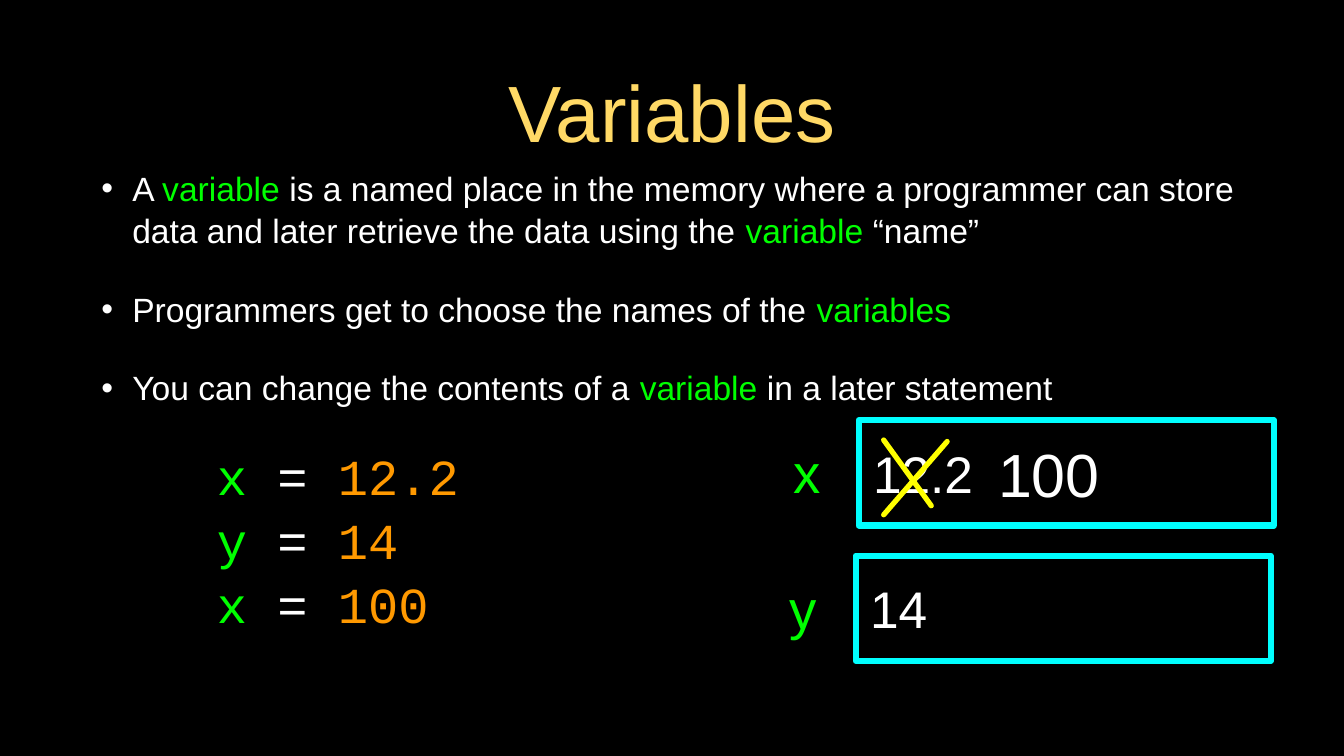
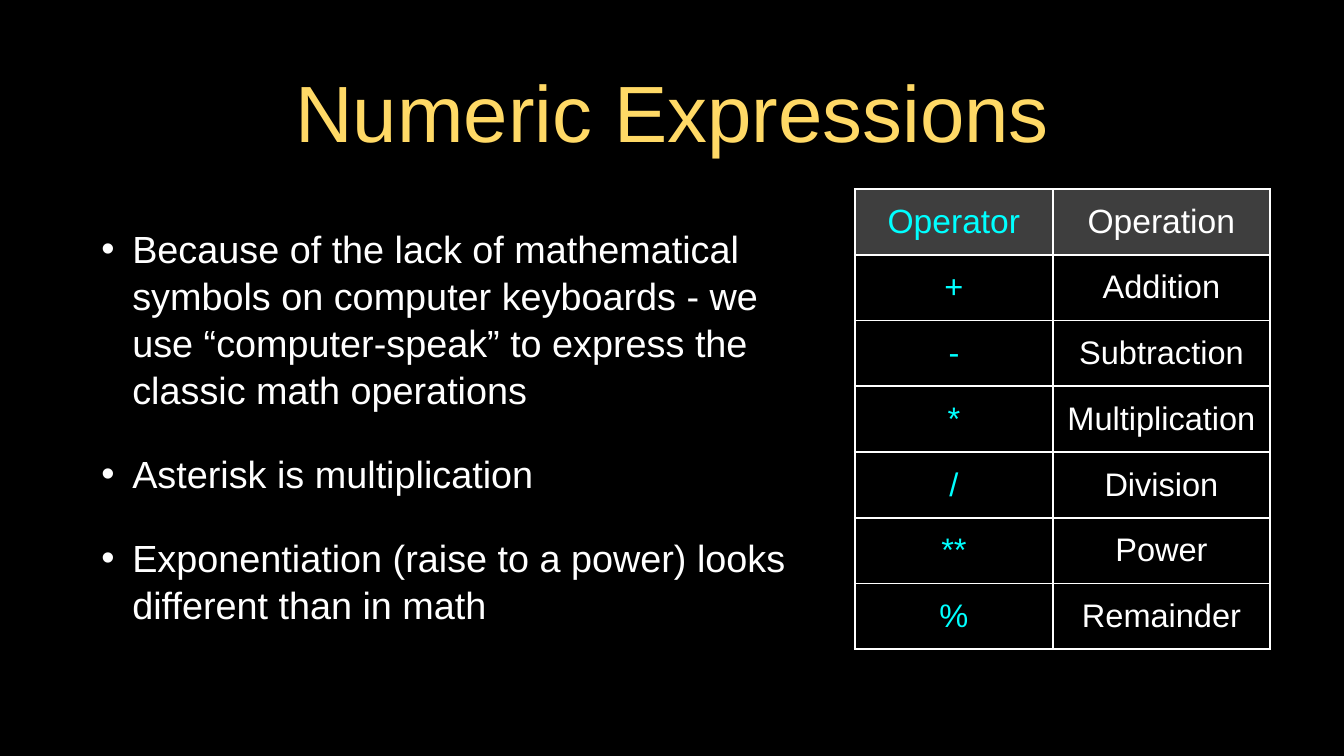
import lxml.etree
import pptx
import pptx.dml.color
import pptx.enum.shapes
import pptx.enum.text
import pptx.oxml
import pptx.oxml.ns
import pptx.util

Inches = pptx.util.Inches
Pt = pptx.util.Pt
ALIGN = pptx.enum.text.PP_ALIGN
MIDDLE = pptx.enum.text.MSO_ANCHOR.MIDDLE
COLORS = {
    "black": "000000", "white": "FFFFFF", "gold": "FFD966", "green": "00FF00",
    "cyan": "00FFFF", "yellow": "FFFF00", "orange": "FF9900", "gray": "7F7F7F",
}
PAD = 0.04


def rgb(name):
    """Return the named colour."""
    return pptx.dml.color.RGBColor.from_string(COLORS[name])


def add_xml(parent, tag, **attributes):
    """Append a DrawingML element and return it."""
    element = lxml.etree.SubElement(parent, pptx.oxml.ns.qn("a:" + tag))
    for key, value in attributes.items():
        element.set(key, str(value))
    return element


class Deck:
    """Holds the shared style and the current slide."""

    def __init__(self):
        """Start a black widescreen presentation."""
        self.prs = pptx.Presentation()
        self.prs.slide_width = Inches(17.78)
        self.prs.slide_height = Inches(10)
        background = self.prs.slide_master.background.fill
        background.solid()
        background.fore_color.rgb = rgb("black")
        self.slide = None

    def add_runs(self, paragraph, runs, size, font="Arial"):
        """Add (text, colour) runs to a paragraph."""
        for text, color in runs:
            run = paragraph.add_run()
            run.text = text
            run.font.size = Pt(size)
            run.font.name = font
            run.font.color.rgb = rgb(color)

    def prepare(self, frame, pad=0, left=None):
        """Give a text frame its insets, wrapping and middle anchor."""
        frame.word_wrap = True
        frame.auto_size = pptx.enum.text.MSO_AUTO_SIZE.NONE
        frame.vertical_anchor = MIDDLE
        frame.margin_left = Inches(pad if left is None else left)
        frame.margin_right = frame.margin_top = frame.margin_bottom = Inches(pad)

    def add_slide(self, title):
        """Add a slide with its centred gold title."""
        self.slide = self.prs.slides.add_slide(self.prs.slide_layouts[5])
        heading = self.slide.shapes.title
        heading.left, heading.top = Inches(0.89), Inches(0.86)
        heading.width, heading.height = Inches(16), Inches(1.21)
        self.prepare(heading.text_frame, PAD)
        paragraph = heading.text_frame.paragraphs[0]
        paragraph.alignment = ALIGN.CENTER
        self.add_runs(paragraph, [(title, "gold")], 76)

    def add_text(self, box, lines, size, font="Arial", align=ALIGN.CENTER,
                 pad=0, spacing=None):
        """Add a text box with one paragraph per list of runs."""
        frame = self.slide.shapes.add_textbox(*map(Inches, box)).text_frame
        self.prepare(frame, pad)
        for index, runs in enumerate(lines):
            paragraph = frame.add_paragraph() if index else frame.paragraphs[0]
            paragraph.alignment = align
            if spacing:
                paragraph.line_spacing = spacing
            self.add_runs(paragraph, runs, size, font)
        return frame

    def add_bullets(self, box, lines, size):
        """Add a bulleted list with hanging indents."""
        frame = self.add_text(box, lines, size, align=ALIGN.LEFT, pad=PAD,
                              spacing=1.04)
        for index, paragraph in enumerate(frame.paragraphs):
            if index:
                paragraph.space_before = Pt(35)
            properties = paragraph._p.get_or_add_pPr()
            properties.set("marL", str(Inches(0.82)))
            properties.set("indent", str(Inches(-0.41)))
            add_xml(add_xml(properties, "buClr"), "srgbClr", val=COLORS["white"])
            add_xml(properties, "buFont", typeface="Arial")
            add_xml(properties, "buChar", char="\u2022")

    def add_memory_cell(self, left, top, value):
        """Add a cyan outlined box that shows a stored value."""
        cell = self.slide.shapes.add_shape(
            pptx.enum.shapes.MSO_SHAPE.RECTANGLE,
            Inches(left), Inches(top), Inches(5.49), Inches(1.39))
        cell.shadow.inherit = False
        cell.fill.background()
        cell.line.color.rgb = rgb("cyan")
        cell.line.width = Pt(6)
        add_xml(cell.line._get_or_add_ln(), "round")
        self.prepare(cell.text_frame, left=0.19)
        paragraph = cell.text_frame.paragraphs[0]
        paragraph.alignment = ALIGN.LEFT
        self.add_runs(paragraph, [(value, "white")], 49)

    def add_stroke(self, start, end):
        """Add a yellow line with round ends."""
        stroke = self.slide.shapes.add_connector(
            pptx.enum.shapes.MSO_CONNECTOR.STRAIGHT,
            *map(Inches, (*start, *end)))
        stroke.line.color.rgb = rgb("yellow")
        stroke.line.width = Pt(5)
        stroke.line._get_or_add_ln().set("cap", "rnd")
        add_xml(stroke._element.spPr, "effectLst")

    def add_borders(self, cell):
        """Draw white borders on all four sides of a table cell."""
        properties = cell._tc.get_or_add_tcPr()
        for index, side in enumerate(("lnL", "lnR", "lnT", "lnB")):
            border = add_xml(properties, side, w=Pt(2))
            add_xml(add_xml(border, "solidFill"), "srgbClr", val=COLORS["white"])
            properties.insert(index, border)

    def add_table(self, left, top, widths, row_height, rows):
        """Add a two-colour table with a translucent header row."""
        table = self.slide.shapes.add_table(
            len(rows), len(widths), Inches(left), Inches(top),
            Inches(sum(widths)), Inches(row_height * len(rows))).table
        table.first_row = table.horz_banding = False
        for column, width in zip(table.columns, widths):
            column.width = Inches(width)
        for row_index, row in enumerate(rows):
            table.rows[row_index].height = Inches(row_height)
            for column_index, (text, color) in enumerate(zip(row, ("cyan", "white"))):
                cell = table.cell(row_index, column_index)
                cell.vertical_anchor = MIDDLE
                cell.margin_left = cell.margin_right = Inches(PAD)
                cell.margin_top = cell.margin_bottom = Inches(PAD)
                if row_index:
                    cell.fill.background()
                else:
                    cell.fill.solid()
                    cell.fill.fore_color.rgb = rgb("gray")
                    shade = cell._tc.tcPr.find(".//" + pptx.oxml.ns.qn("a:srgbClr"))
                    add_xml(shade, "alpha", val=49000)
                self.add_borders(cell)
                paragraph = cell.text_frame.paragraphs[0]
                paragraph.alignment = ALIGN.CENTER
                self.add_runs(paragraph, [(text, color)], 31 if row_index else 32)


deck = Deck()

deck.add_slide("Variables")
deck.add_bullets((0.89, 2.33, 16, 2.93), [
    [("A ", "white"), ("variable", "green"),
     (" is a named place in the memory where a programmer can store data and "
      "later retrieve the data using the ", "white"),
     ("variable ", "green"), ("“name”", "white")],
    [("Programmers get to choose the names of the ", "white"),
     ("variables", "green")],
    [("You can change the contents of a ", "white"), ("variable ", "green"),
     ("in a later statement", "white")],
], 32)
deck.add_memory_cell(11.36, 5.56, "12.2")
deck.add_text((10.43, 5.77, 0.49, 0.94), [[("x", "green")]], 52)
deck.add_memory_cell(11.32, 7.35, "14")
deck.add_text((10.41, 7.57, 0.44, 0.94), [[("y", "green")]], 52)
deck.add_stroke((12.53, 5.84), (11.69, 6.81))
deck.add_stroke((11.69, 5.82), (12.32, 6.69))
deck.add_text((12.96, 5.75, 1.83, 1.03), [[("100", "white")]], 58)
assignments = [("x", "12.2"), ("y", "14"), ("x", "100")]
deck.add_text((2.87, 5.81, 4.42, 2.61), [
    [(name + " ", "green"), ("= ", "white"), (value, "orange")]
    for name, value in assignments
], 48, font="Courier New", align=ALIGN.LEFT, spacing=1.06)

deck.add_slide("Numeric Expressions")
deck.add_bullets((0.89, 2.33, 9.88, 6.6), [
    [(text, "white")] for text in (
        "Because of the lack of mathematical symbols on computer keyboards - we "
        "use “computer-speak” to express the classic math operations",
        "Asterisk is multiplication",
        "Exponentiation (raise to a power) looks different than in math",
    )
], 36)
deck.add_table(11.31, 2.5, (2.62, 2.87), 0.87, [
    ("Operator", "Operation"),
    ("+", "Addition"),
    ("-", "Subtraction"),
    ("*", "Multiplication"),
    ("/", "Division"),
    ("**", "Power"),
    ("%", "Remainder"),
])

deck.prs.save("out.pptx")
